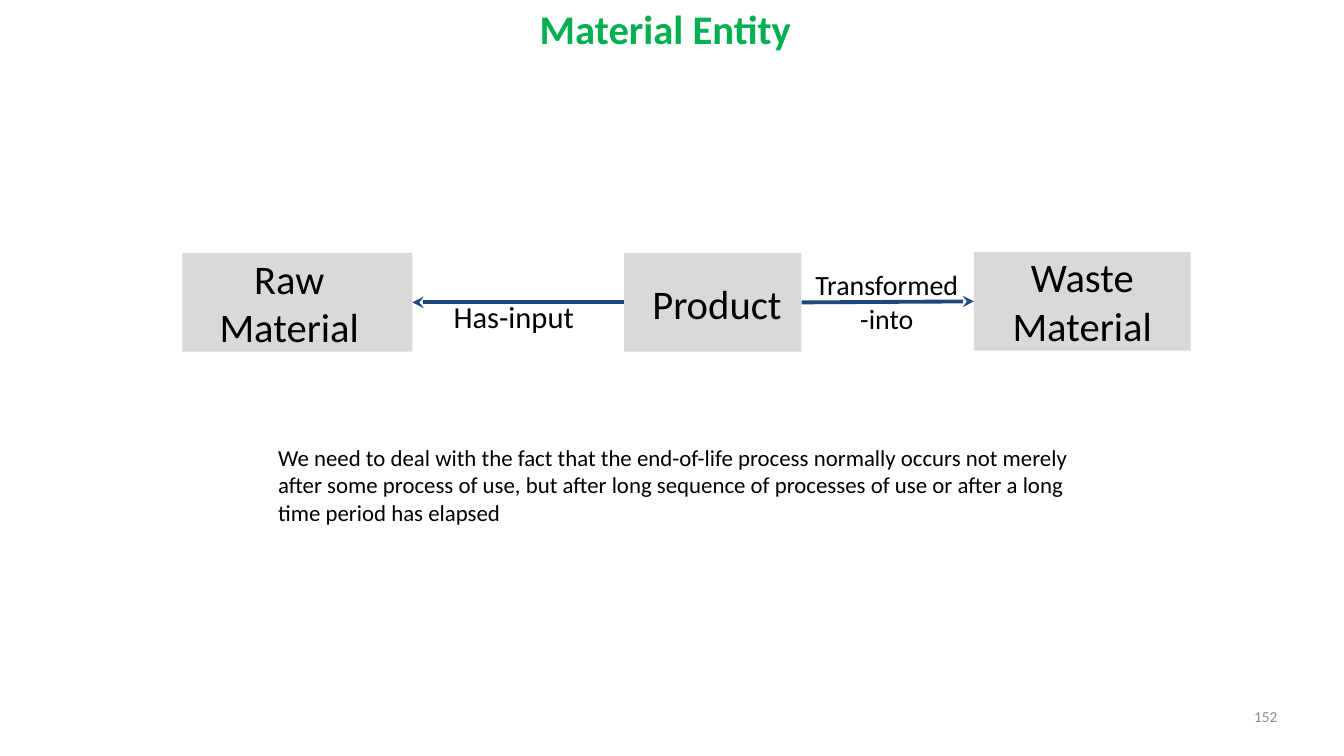
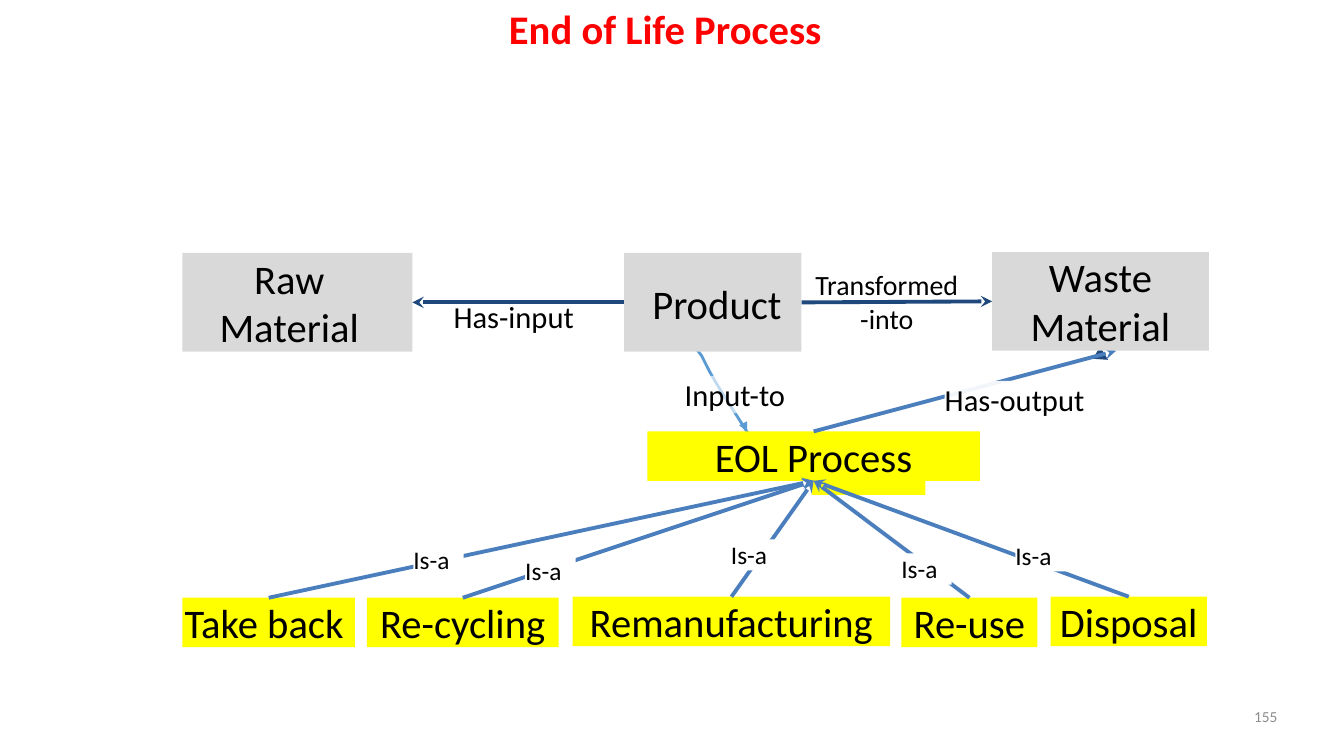
"""Build two slides on products, their materials and the end-of-life process."""
from lxml import etree
from pptx import Presentation
from pptx import util as u
from pptx.dml.color import RGBColor
from pptx.enum import shapes, text
from pptx.oxml.ns import qn

GREEN = RGBColor(0x00, 0xB0, 0x50)
RED = RGBColor(0xFF, 0x00, 0x00)
BLACK = RGBColor(0x00, 0x00, 0x00)
WHITE = RGBColor(0xFF, 0xFF, 0xFF)
GREY = RGBColor(0xD9, 0xD9, 0xD9)
DIM = RGBColor(0x8C, 0x8C, 0x8C)
YELLOW = RGBColor(0xFF, 0xFF, 0x00)
NAVY = RGBColor(0x1F, 0x49, 0x7D)
BLUE = RGBColor(0x4B, 0x7E, 0xBC)
SKY = RGBColor(0x5B, 0x9B, 0xD4)

FONT = "Calibri"
CELL = u.Inches(0.1)
BIG, MID, SMALL = 29, 21.8, 18.1
PAD = (1, 0.5, 1, 0.5)
BARE = (0, 0, 0, 0)
LEFT, MIDDLE, RIGHT = text.PP_ALIGN.LEFT, text.PP_ALIGN.CENTER, text.PP_ALIGN.RIGHT


def block(page, area, words="", size=BIG, fill=None, alpha=100, align=MIDDLE,
          inset=BARE, anchor=text.MSO_ANCHOR.TOP, tone=BLACK, bold=False):
    spot = [round(n * CELL) for n in area]
    if fill is None:
        shape = page.shapes.add_textbox(*spot)
    else:
        shape = page.shapes.add_shape(shapes.MSO_SHAPE.RECTANGLE, *spot)
        shape.shadow.inherit = False
        shape.fill.solid()
        shape.fill.fore_color.rgb = fill
        shape.line.fill.background()
        if alpha < 100:
            color = shape.fill._xPr.find(".//" + qn("a:srgbClr"))
            etree.SubElement(color, qn("a:alpha")).set("val", str(alpha * 1000))
    if words:
        frame = shape.text_frame
        frame.word_wrap = True
        frame.vertical_anchor = anchor
        (frame.margin_left, frame.margin_top, frame.margin_right,
         frame.margin_bottom) = [round(n * CELL) for n in inset]
        para = frame.paragraphs[0]
        para.alignment = align
        run = para.add_run()
        run.text = words
        run.font.name, run.font.size, run.font.bold = FONT, u.Pt(size), bold
        run.font.color.rgb = tone
    return shape


def link(page, tone, start, side, end, port=None):
    x, y = (0, 0) if port is not None else [round(n * CELL) for n in end]
    line = page.shapes.add_connector(shapes.MSO_CONNECTOR.STRAIGHT, 0, 0, x, y)
    line.begin_connect(start, side)
    if port is not None:
        line.end_connect(end, port)
    line.line.color.rgb = tone
    line.line.width = u.Pt(2.75)
    tip = etree.SubElement(line.line._get_or_add_ln(), qn("a:tailEnd"))
    tip.set("type", "stealth")
    etree.SubElement(line._element.spPr, qn("a:effectLst"))


deck = Presentation()
deck.slide_width, deck.slide_height = u.Inches(13.33), u.Inches(7.5)
blank = deck.slide_layouts[6]
matter = deck.slides.add_slide(blank)
life = deck.slides.add_slide(blank)

curve = [(67.6, 33.6), (68.9, 34.4), (69.6, 35.3), (70.4, 36.9), (71.4, 38.6), (74.2, 43)]
big_tip = [(109.1, 34.4), (108.4, 35.6), (109.9, 35.7)]
small_tip = [(74.1, 41.8), (73.3, 42.2), (74.1, 42.8)]
for dots, tone, closed in ((curve, SKY, False), (big_tip, NAVY, True), (small_tip, SKY, True)):
    dots = [(round(x * CELL), round(y * CELL)) for x, y in dots]
    pen = life.shapes.build_freeform(*dots[0])
    pen.add_line_segments(dots[1:], close=closed)
    form = pen.convert_to_shape()
    form.shadow.inherit = False
    if closed:
        form.fill.solid()
        form.fill.fore_color.rgb = tone
        form.line.fill.background()
    else:
        form.fill.background()
        form.line.color.rgb = tone
        form.line.width = u.Pt(2)

block(life, (80.5, 43.2, 11.3, 5.9), fill=YELLOW)
eol = block(life, (64.2, 42.8, 33, 4.9), "EOL Process", fill=YELLOW)
block(life, (67.9, 37.3, 11.5, 3.7), "Input-to", MID, WHITE, 63, LEFT)
link(life, BLUE, eol, 0, (110.7, 34.8))

leaves = [
    ("Take back", 18.1, 59.3, 17.1, 0.9),
    ("Re-cycling", 36.4, 59.3, 19, 0),
    ("Remanufacturing", 56.8, 59.2, 31.5, 0),
    ("Re-use", 89.4, 59.3, 13.5, 0),
    ("Disposal", 104.2, 59.2, 15.5, 0),
]
for words, col, row, wide, gap in leaves:
    leaf = block(life, (col, row, wide, 4.9), words, fill=YELLOW, inset=(0, 0, gap, 0))
    link(life, BLUE, leaf, 0, eol, 2)

for page, title, tone, number, col in (
    (matter, "Material Entity", GREEN, "152", 96.6),
    (life, "End of Life Process", RED, "155", 98.4),
):
    block(page, (31.4, -0.1, 69.2, 5.9), title, inset=PAD, tone=tone, bold=True)
    block(page, (79.5, 26.1, 16.9, 7.7), "Transformed-into", 19.9, inset=PAD)
    good = block(page, (61.9, 25.1, 17.6, 9.8), "Product", fill=GREY, align=LEFT,
                 inset=(2.8, 2.6, 0, 0))
    waste = block(page, (col, 25, 21.5, 9.8), "Waste Material", fill=GREY)
    raw = block(page, (18.1, 25.1, 22.8, 9.8), "Raw Material", fill=GREY,
                inset=(0, 0, 1.6, 0), anchor=text.MSO_ANCHOR.MIDDLE)
    link(page, NAVY, good, 1, raw, 3)
    link(page, NAVY, good, 3, waste, 1)
    block(page, (44, 29.1, 16.6, 4.7), "Has-input", MID, align=LEFT, inset=PAD)
    block(page, (96, 69.7, 30.7, 2.7), number, 10.9, align=RIGHT,
          anchor=text.MSO_ANCHOR.MIDDLE, tone=DIM)

block(matter, (26.6, 43.5, 80.9, 9.2),
      "We need to deal with the fact that the end-of-life process normally occurs "
      "not merely after some process of use, but after long sequence of processes "
      "of use or after a long time period has elapsed", 16.3, align=LEFT, inset=PAD)

block(life, (93.7, 37.8, 15.1, 3.7), "Has-output", MID, WHITE, 93, LEFT)
for col, row in ((41, 54), (52.1, 55.1), (72.5, 53.5), (89.4, 54.9), (100.7, 53.6)):
    block(life, (col, row, 5, 3.1), "Is-a", SMALL, WHITE, align=LEFT)

deck.save("out.pptx")
